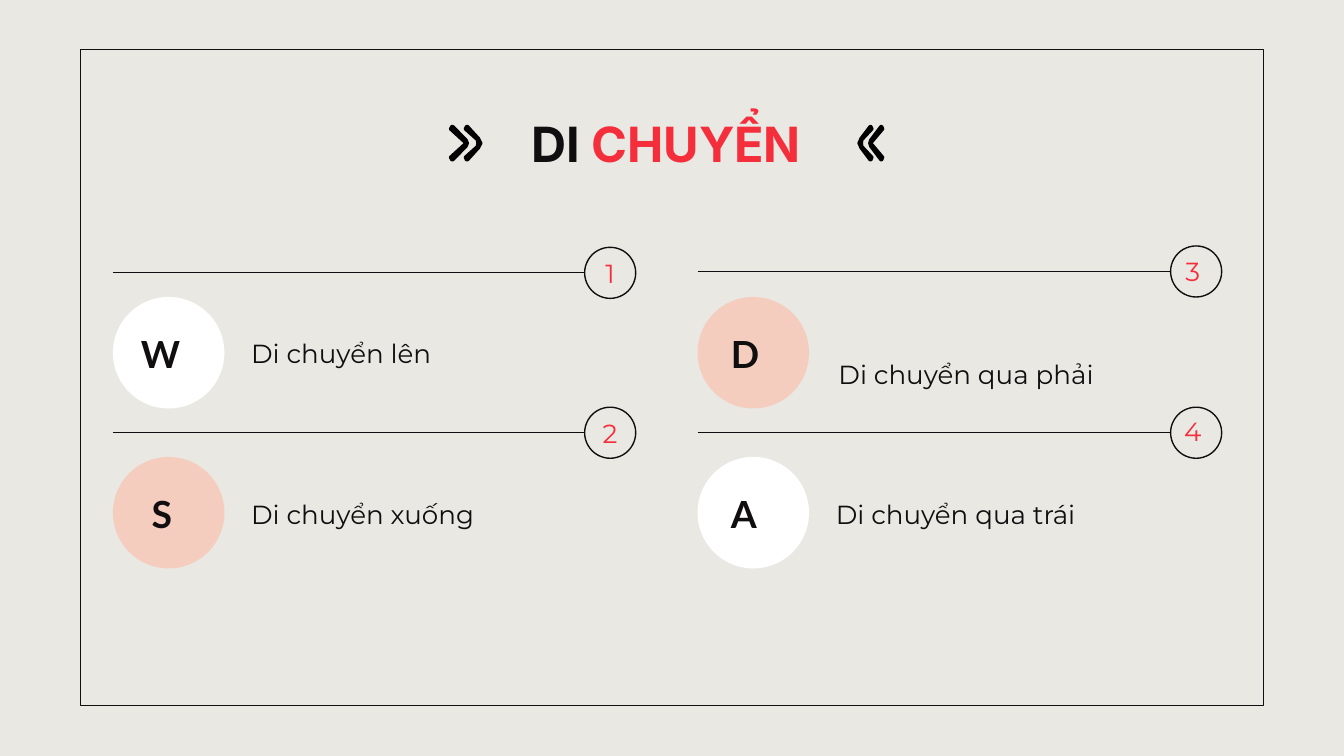
from dataclasses import dataclass

from lxml.etree import SubElement
from pptx import Presentation
from pptx.dml.color import RGBColor
from pptx.enum.shapes import MSO_CONNECTOR as Connector, MSO_SHAPE as Shape
from pptx.enum.text import MSO_ANCHOR as Anchor, PP_ALIGN as Align
from pptx.oxml.ns import qn
from pptx.util import Inches, Pt

SLIDE_WIDTH = 10
SLIDE_HEIGHT = SLIDE_WIDTH * 9 / 16
INK, RED, WHITE, PINK = "100E0E", "F52E3C", "FFFFFF", "F5CDBF"
FIRST_COLUMN, COLUMN_STEP = 0.84, 4.35
FIRST_ROW, ROW_STEP = 2.03, 1.19
BADGE_SIZE, DISC_SIZE = 0.38, 0.83

TITLE_STYLE = {"name": "Inter", "size": Pt(26), "bold": True}
KEY_STYLE = {"name": "Lato", "size": Pt(20), "bold": True}
BODY_STYLE = {"name": "Montserrat", "size": Pt(14), "bold": False}

# Outlines of a chevron pointing right, as shares of its box
OUTER_CHEVRON = [(0.08, 1), (0, 0.92), (0.75, 0.6), (0.79, 0.5), (0.75, 0.4),
                 (0, 0.08), (0.08, 0), (0.17, 0), (0.85, 0.36), (1, 0.5),
                 (0.85, 0.64), (0.17, 1)]
INNER_CHEVRON = [(0.08, 1), (0, 0.92), (0.84, 0.52), (0.84, 0.48), (0, 0.08),
                 (0.08, 0), (0.16, 0), (0.92, 0.4), (1, 0.5), (0.92, 0.6),
                 (0.16, 1)]


@dataclass
class Move:
    """Lefts and tops are offsets from the start of the rule."""
    number: str
    key: str
    label: str
    column: int
    row: int
    disc_color: str
    key_left: float
    key_width: float = 0.54
    label_left: float = 0.93
    label_top: float = 0.34
    rule_length: float = 3.51
    rule_lift: float = 0
    number_top: float = -0.13


@dataclass
class Chevron:
    outline: list
    left: float
    width: float
    points_left: bool


MOVES = [
    Move("1", "W", "Di chuyển lên", 0, 0, WHITE, 0.11, 0.62, label_top=0.33),
    Move("2", "S", "Di chuyển xuống", 0, 1, PINK, 0.19),
    Move("3 ", "D", "Di chuyển qua phải", 1, 0, PINK, 0.15, label_left=0.95,
         label_top=0.49, rule_length=3.52, rule_lift=0.01, number_top=-0.14),
    Move("4 ", "A", "Di chuyển qua trái", 1, 1, WHITE, 0.15,
         rule_length=3.52, number_top=-0.14),
]
CHEVRONS = [
    Chevron(OUTER_CHEVRON, 3.46, 0.12, False),
    Chevron(INNER_CHEVRON, 3.35, 0.13, False),
    Chevron(OUTER_CHEVRON, 6.39, 0.1, True),
    Chevron(INNER_CHEVRON, 6.47, 0.1, True),
]


def color(value: str) -> RGBColor:
    return RGBColor.from_string(value)


def paint(shape, fill: str | None, line: str | None, weight: float = 0.75) -> None:
    shape.shadow.inherit = False
    if fill:
        shape.fill.solid()
        shape.fill.fore_color.rgb = color(fill)
    else:
        shape.fill.background()
    if line:
        shape.line.color.rgb = color(line)
        shape.line.width = Pt(weight)
    else:
        shape.line.fill.background()


def add_preset(page, kind: Shape, left: float, top: float, width: float,
               height: float, fill: str | None = None, line: str | None = None) -> None:
    shape = page.shapes.add_shape(kind, *map(Inches, (left, top, width, height)))
    paint(shape, fill, line)


def add_text(page, left: float, top: float, width: float, height: float,
             spans: list[tuple[str, str]], style: dict,
             align: Align = Align.LEFT) -> None:
    """Each span is a text and its colour."""
    box = page.shapes.add_textbox(*map(Inches, (left, top, width, height)))
    frame = box.text_frame
    frame.word_wrap = True
    frame.vertical_anchor = Anchor.MIDDLE
    for side in ("left", "top", "right", "bottom"):
        setattr(frame, f"margin_{side}", Inches(0.1))
    para = frame.paragraphs[0]
    para.alignment = align
    for text, ink in spans:
        span = para.add_run()
        span.text = text
        span.font.color.rgb = color(ink)
        for name, value in style.items():
            setattr(span.font, name, value)


def add_rule(page, left: float, top: float, length: float) -> None:
    rule = page.shapes.add_connector(
        Connector.STRAIGHT, *map(Inches, (left, top, left + length, top)))
    rule.line.color.rgb = color(INK)
    rule.line.width = Pt(0.75)
    SubElement(rule.element.spPr, qn("a:effectLst"))


def add_move(page, move: Move) -> None:
    left = FIRST_COLUMN + move.column * COLUMN_STEP
    top = FIRST_ROW + move.row * ROW_STEP
    rule_top = top - move.rule_lift
    badge_left = left + move.rule_length
    add_preset(page, Shape.OVAL, left, top + 0.18, DISC_SIZE, DISC_SIZE, move.disc_color)
    add_text(page, left + move.key_left, top + 0.31, move.key_width, 0.58,
             [(move.key, INK)], KEY_STYLE)
    add_text(page, left + move.label_left, top + move.label_top, 2.69, 0.53,
             [(move.label, INK)], BODY_STYLE)
    add_rule(page, left, rule_top, move.rule_length)
    add_preset(page, Shape.OVAL, badge_left, rule_top - BADGE_SIZE / 2,
               BADGE_SIZE, BADGE_SIZE, line=INK)
    add_text(page, badge_left - 0.08, top + move.number_top, 0.54, 0.26,
             [(move.number, RED)], BODY_STYLE, Align.CENTER)


def add_chevron(page, chevron: Chevron) -> None:
    points = [
        (Inches(chevron.left + chevron.width * (1 - x if chevron.points_left else x)),
         Inches(0.94 + 0.25 * y))
        for x, y in chevron.outline
    ]
    builder = page.shapes.build_freeform(*points[0])
    builder.add_line_segments(points[1:], close=True)
    paint(builder.convert_to_shape(), INK, "000000", 1.5)


def main() -> None:
    deck = Presentation()
    deck.slide_width, deck.slide_height = Inches(SLIDE_WIDTH), Inches(SLIDE_HEIGHT)
    page = deck.slides.add_slide(deck.slide_layouts[6])
    page.background.fill.solid()
    page.background.fill.fore_color.rgb = color("E9E8E3")

    add_preset(page, Shape.RECTANGLE, 0.6, 0.37, SLIDE_WIDTH - 1.2, 4.88, line=INK)
    add_text(page, 2.83, 0.75, 4.34, 0.63, [("DI ", INK), ("CHUYỂN ", RED)],
             TITLE_STYLE, Align.CENTER)
    for move in MOVES:
        add_move(page, move)
    for chevron in CHEVRONS:
        add_chevron(page, chevron)
    deck.save("out.pptx")


if __name__ == "__main__":
    main()
